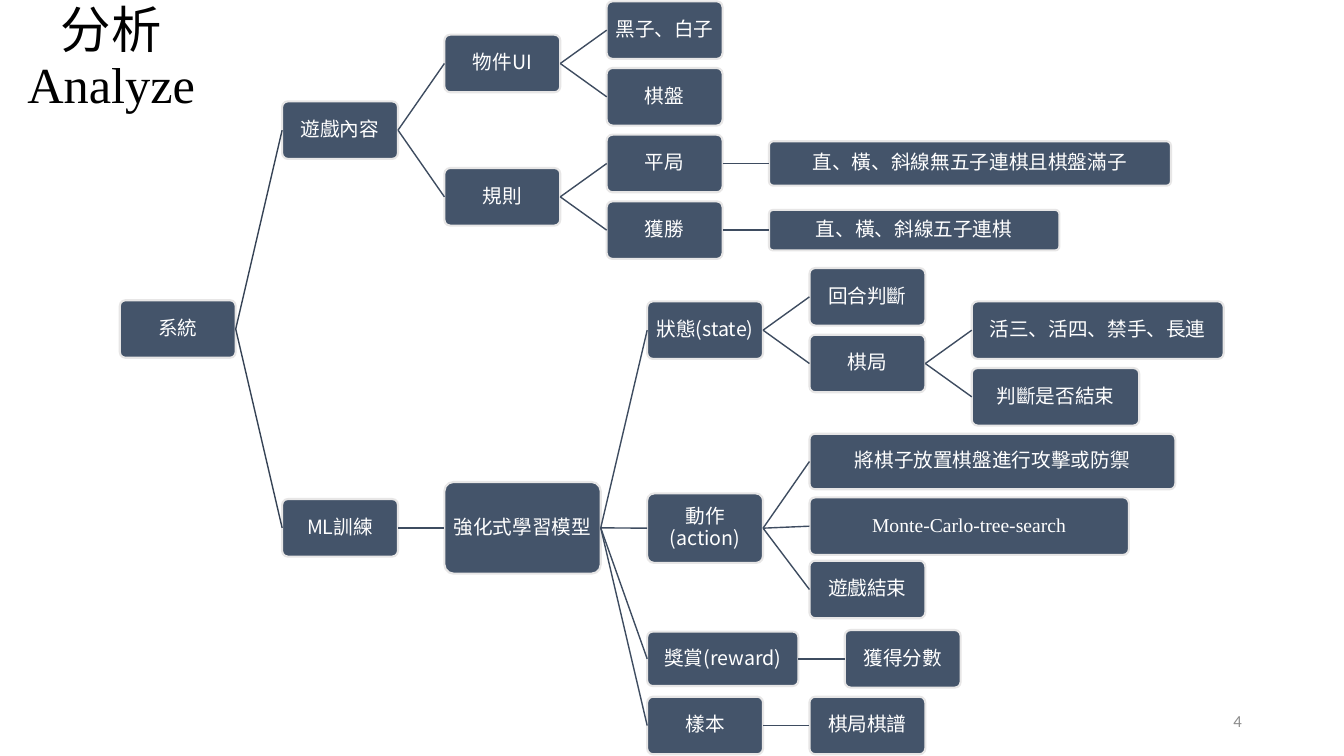
import pptx
import pptx.util
import pptx.dml.color
import pptx.enum.shapes
import pptx.enum.text
import pptx.oxml.ns
import pptx.oxml.xmlchemy

ROOT = "系統"
CHILDREN = {
    "系統": ["遊戲內容", "ML訓練"],
    "遊戲內容": ["物件UI", "規則"],
    "物件UI": ["黑子、白子", "棋盤"],
    "規則": ["平局", "獲勝"],
    "平局": ["直、橫、斜線無五子連棋且棋盤滿子"],
    "獲勝": ["直、橫、斜線五子連棋"],
    "ML訓練": ["強化式學習模型"],
    "強化式學習模型": ["狀態(state)", "動作(action)", "獎賞(reward)", "樣本"],
    "狀態(state)": ["回合判斷", "棋局"],
    "棋局": ["活三、活四、禁手、長連", "判斷是否結束"],
    "動作(action)": ["將棋子放置棋盤進行攻擊或防禦", "Monte-Carlo-tree-search", "遊戲結束"],
    "獎賞(reward)": ["獲得分數"],
    "樣本": ["棋局棋譜"],
}
ROWS = {
    "黑子、白子": 0, "棋盤": 1,
    "直、橫、斜線無五子連棋且棋盤滿子": 2, "直、橫、斜線五子連棋": 3,
    "回合判斷": 4, "活三、活四、禁手、長連": 4.5, "判斷是否結束": 5.5,
    "將棋子放置棋盤進行攻擊或防禦": 6.47, "動作(action)": 7.47,
    "Monte-Carlo-tree-search": 7.44, "遊戲結束": 8.39,
    "獲得分數": 9.43, "棋局棋譜": 10.43,
}
BOX_SIZE = (2.92, 1.45)
SPECIAL_SIZES = {
    "直、橫、斜線無五子連棋且棋盤滿子": (10.13, 1.12),
    "直、橫、斜線五子連棋": (7.32, 1.02),
    "強化式學習模型": (3.94, 2.31),
    "活三、活四、禁手、長連": (6.35, 1.45),
    "判斷是否結束": (4.22, 1.45),
    "動作(action)": (2.92, 1.75),
    "將棋子放置棋盤進行攻擊或防禦": (9.22, 1.4),
    "Monte-Carlo-tree-search": (8.05, 1.45),
    "獎賞(reward)": (3.81, 1.37),
}
COLORS = {
    "box": "44546A", "border": "E7E6E6", "root_link": "364355", "link": "3E4C60",
    "box_text": "FFFFFF", "title": "000000", "number": "8C8C8C",
}
SANS, SERIF = "Noto Sans CJK SC", "Times New Roman"
LEFT, FIRST_ROW, ROW_PITCH, GAP = 3.02, 0.76, 1.68, 1.17
BOX_INSET = 0.03

Cm, Pt = pptx.util.Cm, pptx.util.Pt
ALIGN = pptx.enum.text.PP_ALIGN
new_element = pptx.oxml.xmlchemy.OxmlElement


def color(name):
    return pptx.dml.color.RGBColor.from_string(COLORS[name])


def write(shape, text, color_name, size, font, align=ALIGN.CENTER, spacing=0.9, inset=None):
    frame = shape.text_frame
    frame.text = text
    frame_format = {"word_wrap": True, "vertical_anchor": pptx.enum.text.MSO_ANCHOR.MIDDLE}
    if inset is not None:
        for side in ("left", "right", "top", "bottom"):
            frame_format["margin_" + side] = Cm(inset)
    for name, value in frame_format.items():
        setattr(frame, name, value)
    paragraph = frame.paragraphs[0]
    for name, value in {"alignment": align, "line_spacing": spacing}.items():
        setattr(paragraph, name, value)
    for run in paragraph.runs:
        for name, value in {"size": Pt(size), "name": font}.items():
            setattr(run.font, name, value)
        run.font.color.rgb = color(color_name)
        east_asian = new_element("a:ea")
        east_asian.set("typeface", SANS)
        run.font._element.find(pptx.oxml.ns.qn("a:latin")).addnext(east_asian)


def row_of(node):
    if node in ROWS:
        return ROWS[node]
    children = CHILDREN[node]
    return (row_of(children[0]) + row_of(children[-1])) / 2


def add_box(node, left):
    width, height = SPECIAL_SIZES.get(node, BOX_SIZE)
    top = FIRST_ROW + row_of(node) * ROW_PITCH - height / 2
    box = slide.shapes.add_shape(
        pptx.enum.shapes.MSO_SHAPE.ROUNDED_RECTANGLE, Cm(left), Cm(top), Cm(width), Cm(height))
    box.adjustments[0] = 0.1
    box.shadow.inherit = False
    box.fill.solid()
    box.fill.fore_color.rgb = color("box")
    box.line.color.rgb = color("border")
    box.line.width = Pt(1.5)
    write(box, node, "box_text", 14, SERIF if node.startswith("Monte") else SANS, inset=BOX_INSET)
    return box


def add_link(parent_box, child_box, color_name):
    link = slide.shapes.add_connector(pptx.enum.shapes.MSO_CONNECTOR.STRAIGHT, 0, 0, 0, 0)
    link.begin_connect(parent_box, 3)
    link.end_connect(child_box, 1)
    link.line.color.rgb = color(color_name)
    link.line.width = Pt(1)
    link._element.spPr.append(new_element("a:effectLst"))


def add_branch(node, left):
    box = add_box(node, left)
    child_left = left + SPECIAL_SIZES.get(node, BOX_SIZE)[0] + GAP
    for child in CHILDREN.get(node, []):
        child_box = add_branch(child, child_left)
        add_link(box, child_box, "root_link" if node == ROOT else "link")
    return box


presentation = pptx.Presentation()
presentation.slide_width, presentation.slide_height = Cm(33.87), Cm(19.05)
slide = presentation.slides.add_slide(presentation.slide_layouts[6])

add_branch(ROOT, LEFT)
title = slide.shapes.add_textbox(Cm(0), Cm(0), Cm(5.61), Cm(3.02))
write(title, "分析\vAnalyze", "title", 36, SERIF)
number = slide.shapes.add_textbox(Cm(23.93), Cm(17.65), Cm(7.62), Cm(1.02))
write(number, "4", "number", 12, "Calibri", ALIGN.RIGHT, 1.0)

presentation.save("out.pptx")
